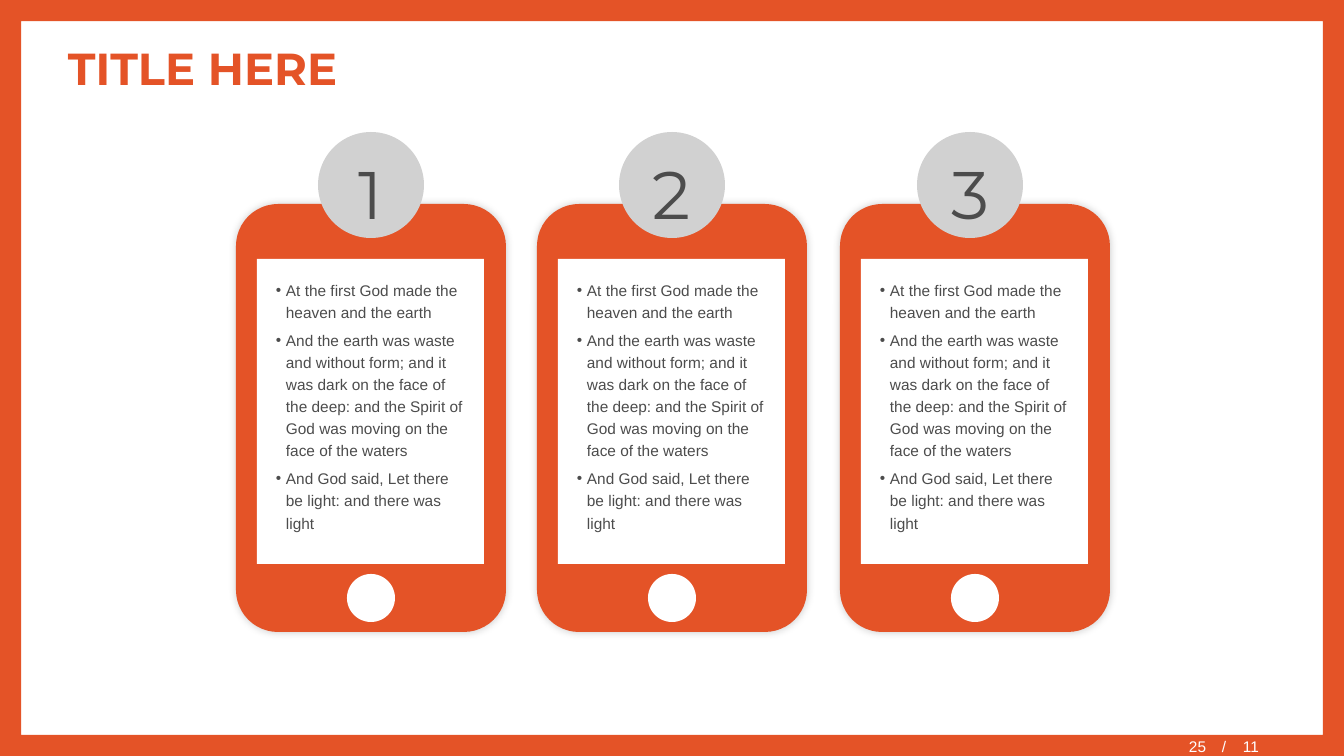
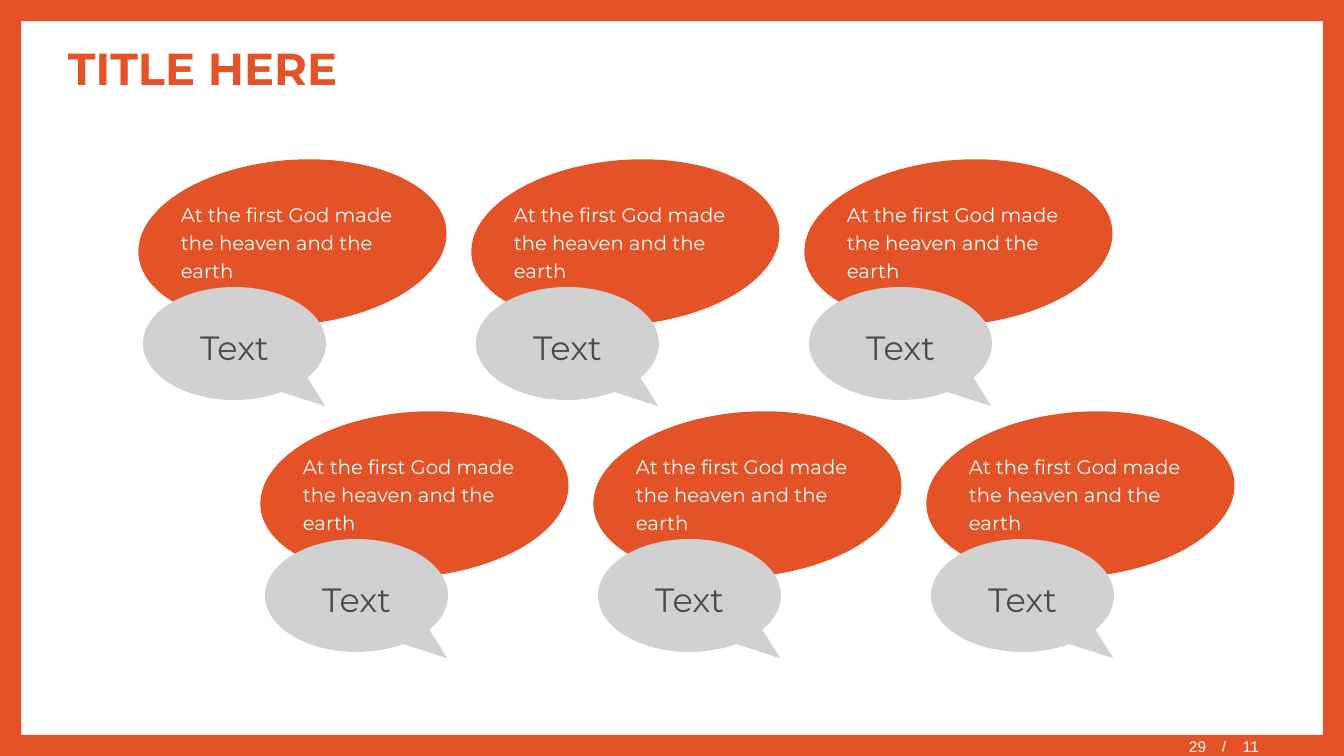
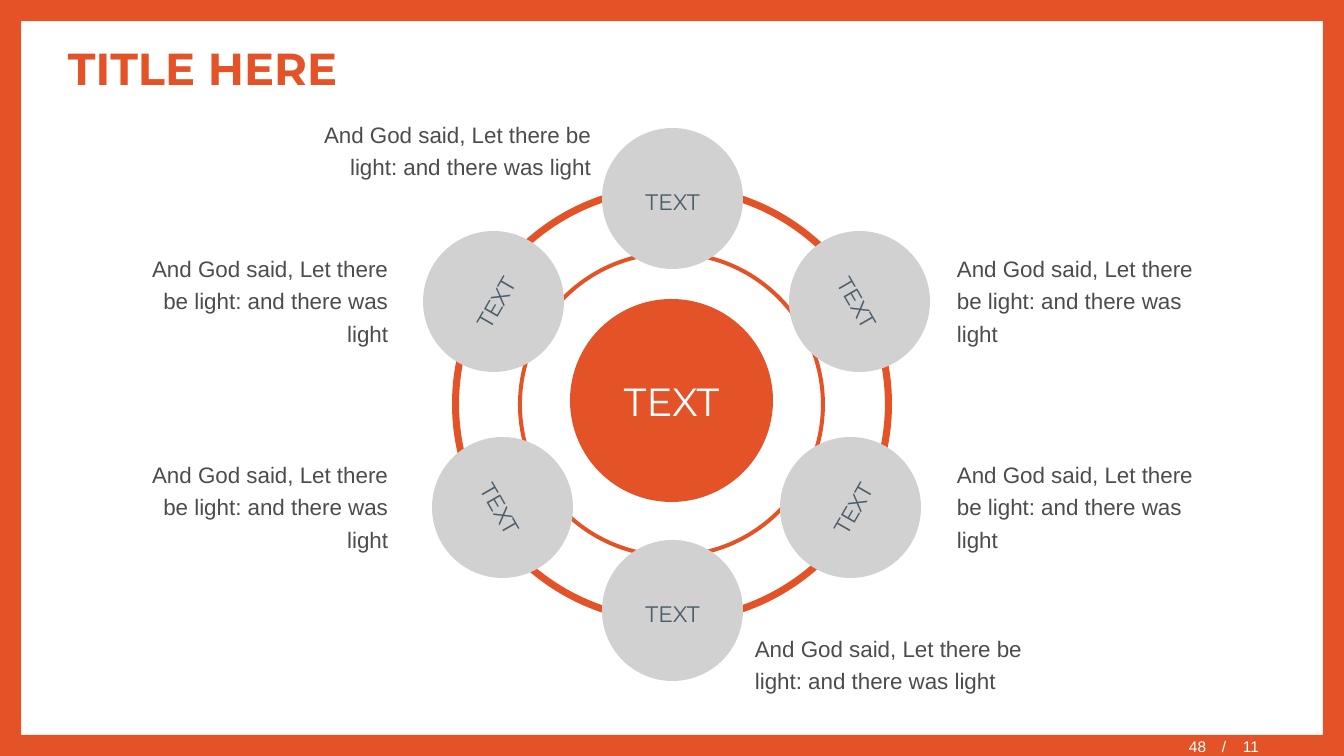
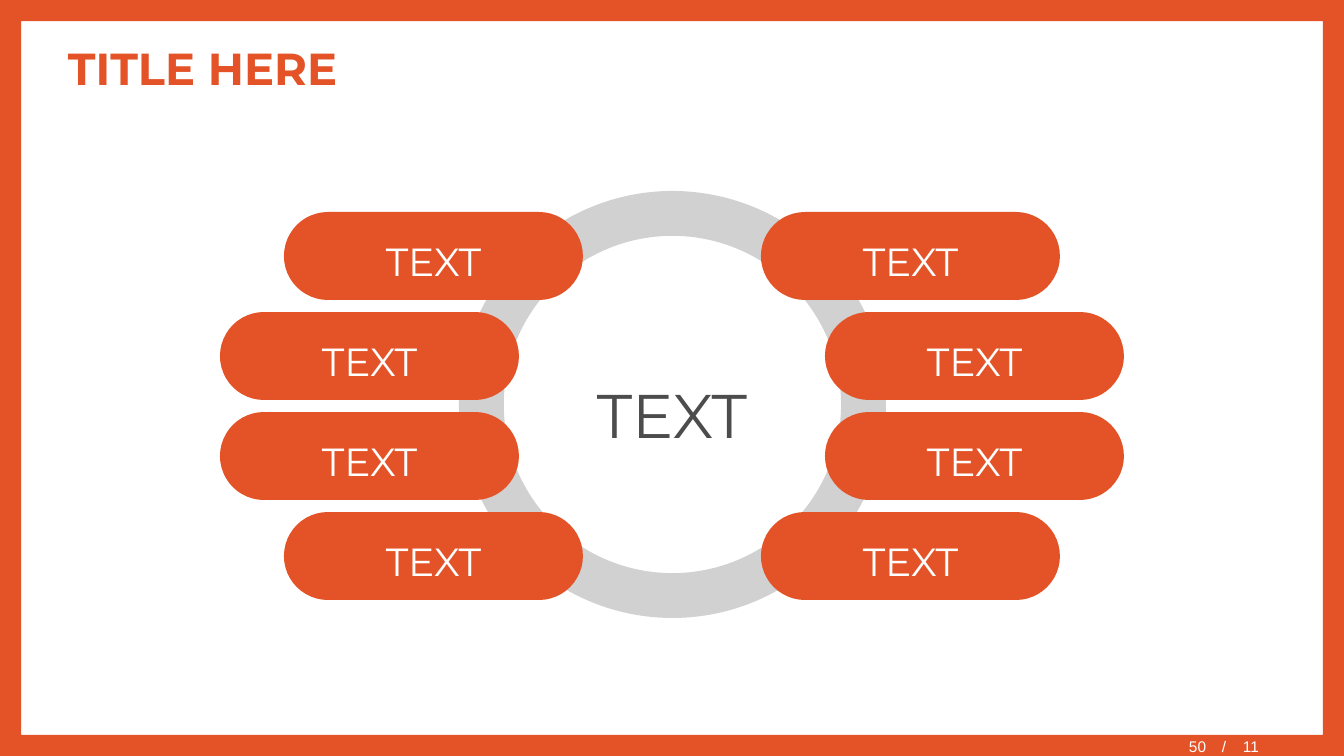
from lxml.etree import SubElement
from pptx import Presentation
from pptx.dml.color import RGBColor
from pptx.enum.shapes import MSO_SHAPE
from pptx.enum.text import MSO_ANCHOR, PP_ALIGN
from pptx.oxml.ns import qn
from pptx.util import Emu, Pt

WIDTH, HEIGHT = 1344, 756
COLORS = {
    "accent": "E45327",
    "gray": "D1D1D1",
    "ink": "4C4C4C",
    "slate": "4A5D69",
    "white": "FFFFFF",
    "black": "000000",
}
HEADING, BODY = "Montserrat", "Arial"
LEFT, CENTER, RIGHT = PP_ALIGN.LEFT, PP_ALIGN.CENTER, PP_ALIGN.RIGHT

HEAVEN = "At the first God made the heaven and the earth"
WATERS = (
    "And the earth was waste and without form; and it was dark on the face of "
    "the deep: and the Spirit of God was moving on the face of the waters"
)
LIGHT = "And God said, Let there be light: and there was light"


def px(length):
    return Emu(round(length * 914400 / 100.8))


def rgb(name):
    return RGBColor.from_string(COLORS[name])


def write(frame, text, size=16, font=HEADING, color="ink", bold=False, align=LEFT,
          anchor=MSO_ANCHOR.TOP, spacing=1.2, gap=2, bullet=False, tabs=()):
    frame.word_wrap = True
    frame.vertical_anchor = anchor
    for index, line in enumerate(text.split("\n")):
        paragraph = frame.add_paragraph() if index else frame.paragraphs[0]
        properties = paragraph._p.get_or_add_pPr()
        if bullet:
            properties.set("marL", str(px(10)))
            properties.set("indent", str(-px(10)))
            SubElement(properties, qn("a:buFont"), typeface=BODY)
            SubElement(properties, qn("a:buChar"), char="•")
        if tabs:
            stops = SubElement(properties, qn("a:tabLst"))
            for stop in tabs:
                SubElement(stops, qn("a:tab"), pos=str(px(stop)), algn="l")
        paragraph.alignment = align
        paragraph.line_spacing = spacing
        paragraph.space_before = Pt(gap if index else 0)
        paragraph.space_after = Pt(gap)
        run = paragraph.add_run()
        run.text = line
        run.font.size = Pt(size)
        run.font.name = font
        run.font.bold = bold
        run.font.color.rgb = rgb(color)


class Deck:
    """Holds the shared style and the current slide."""

    def __init__(self):
        self.presentation = Presentation()
        self.presentation.slide_width = px(WIDTH)
        self.presentation.slide_height = px(HEIGHT)
        self.slide = None

    def new_slide(self, title, page):
        blank = self.presentation.slide_layouts[6]
        self.slide = self.presentation.slides.add_slide(blank)
        self.shape(MSO_SHAPE.FRAME, 0, 0, WIDTH, HEIGHT, adjust=(0.028,))
        self.text(title, 58, 28, 1228, 80, size=32, color="accent", bold=True,
                  anchor=MSO_ANCHOR.MIDDLE, spacing=1, gap=0)
        self.text(f"{page}\t/\t11", 1189, 737, 100, 18, inset=0, size=11, font=BODY,
                  color="white", anchor=MSO_ANCHOR.MIDDLE, spacing=1, gap=0,
                  tabs=(33, 54))

    def shape(self, kind, x, y, width, height, fill="accent", adjust=(), rotation=0,
              label="", **style):
        shape = self.slide.shapes.add_shape(kind, px(x), px(y), px(width), px(height))
        shape.shadow.inherit = False
        shape.fill.solid()
        shape.fill.fore_color.rgb = rgb(fill)
        shape.line.fill.background()
        shape.rotation = rotation
        for index, value in enumerate(adjust):
            shape.adjustments[index] = value
        if label:
            write(shape.text_frame, label, align=CENTER, anchor=MSO_ANCHOR.MIDDLE, **style)
        return shape

    def circle(self, x, y, diameter, **style):
        return self.shape(MSO_SHAPE.OVAL, x, y, diameter, diameter, **style)

    def ring(self, x, y, diameter, thickness, fill="accent"):
        self.shape(MSO_SHAPE.DONUT, x, y, diameter, diameter, fill, (thickness,))

    def text(self, text, x, y, width, height, inset=None, **style):
        box = self.slide.shapes.add_textbox(px(x), px(y), px(width), px(height))
        frame = box.text_frame
        if inset is not None:
            frame.margin_left = frame.margin_right = px(inset)
            frame.margin_top = frame.margin_bottom = px(inset)
        write(frame, text, **style)

    def glow(self, shape):
        effects = shape._element.spPr.find(qn("a:effectLst"))
        shadow = SubElement(effects, qn("a:outerShdw"), blurRad=str(Pt(6)), dist="0",
                            dir="18900000", algn="bl", rotWithShape="0")
        color = SubElement(shadow, qn("a:srgbClr"), val=COLORS["black"])
        SubElement(color, qn("a:alpha"), val="20000")

    def phone(self, x, text):
        self.glow(self.shape(MSO_SHAPE.ROUNDED_RECTANGLE, x, 204, 270, 428, adjust=(0.156,)))
        self.shape(MSO_SHAPE.RECTANGLE, x + 21, 259, 227, 305, "white")
        self.circle(x + 111, 574, 48, fill="white")
        self.text(text, x + 30, 272, 213, 266, size=11, font=BODY, bullet=True)

    def speech(self, x, y, text, label):
        self.shape(MSO_SHAPE.OVAL, x, y, 309, 165, rotation=355.3)
        self.shape(MSO_SHAPE.OVAL_CALLOUT, x + 5, y + 127, 183, 113, "gray",
                   (0.497, 0.556), label=label, size=24)
        self.text(text, x + 33, y + 33, 258, 96, size=14, color="white")

    def pill(self, x, y, label):
        self.shape(MSO_SHAPE.ROUNDED_RECTANGLE, x, y, 299, 88, adjust=(0.5,),
                   label=label, size=28, color="white")


def phones(deck):
    deck.new_slide("TITLE HERE", 25)
    columns = ((236, 318), (537, 619), (840, 917))
    for number, (phone_x, badge_x) in enumerate(columns, 1):
        deck.phone(phone_x, "\n".join((HEAVEN, WATERS, LIGHT)))
        deck.circle(badge_x, 132, 106, fill="gray", label=str(number), size=48)


def speeches(deck):
    deck.new_slide("TITLE HERE", 29)
    for row in range(2):
        for column in range(3):
            deck.speech(138 + 333 * column + 122 * row, 160 + 252 * row, HEAVEN, "Text")


def orbit(deck):
    deck.new_slide("TITLE HERE", 48)
    deck.ring(452, 184, 440, 0.016)
    deck.ring(518, 251, 307, 0.013)
    nodes = (
        (602, 128, 0, 267, 111, 334, RIGHT),
        (602, 540, 0, 745, 625, 334, LEFT),
        (789, 231, 60, 947, 245, 271, LEFT),
        (432, 437, 60, 127, 451, 271, RIGHT),
        (423, 231, 300, 127, 245, 271, RIGHT),
        (780, 437, 300, 947, 451, 271, LEFT),
    )
    for x, y, rotation, caption_x, caption_y, caption_width, align in nodes:
        deck.circle(x, y, 141, fill="gray", rotation=rotation, label="TEXT", color="slate")
        deck.text(LIGHT, caption_x, caption_y, caption_width, 108 if rotation else 76,
                  font=BODY, align=align)
    deck.circle(570, 299, 203, label="TEXT", size=28, color="white", spacing=1, gap=0)


def pills(deck):
    deck.new_slide("TITLE HERE", 50)
    deck.ring(459, 191, 427, 0.105, "gray")
    deck.text("TEXT", 570, 357, 204, 100, size=44, align=CENTER)
    for row, x in enumerate((284, 220, 220, 284)):
        for side_x in (x, WIDTH - 299 - x):
            deck.pill(side_x, 212 + 100 * row, "TEXT")


def main():
    deck = Deck()
    for build in (phones, speeches, orbit, pills):
        build(deck)
    deck.presentation.save("out.pptx")


if __name__ == "__main__":
    main()
